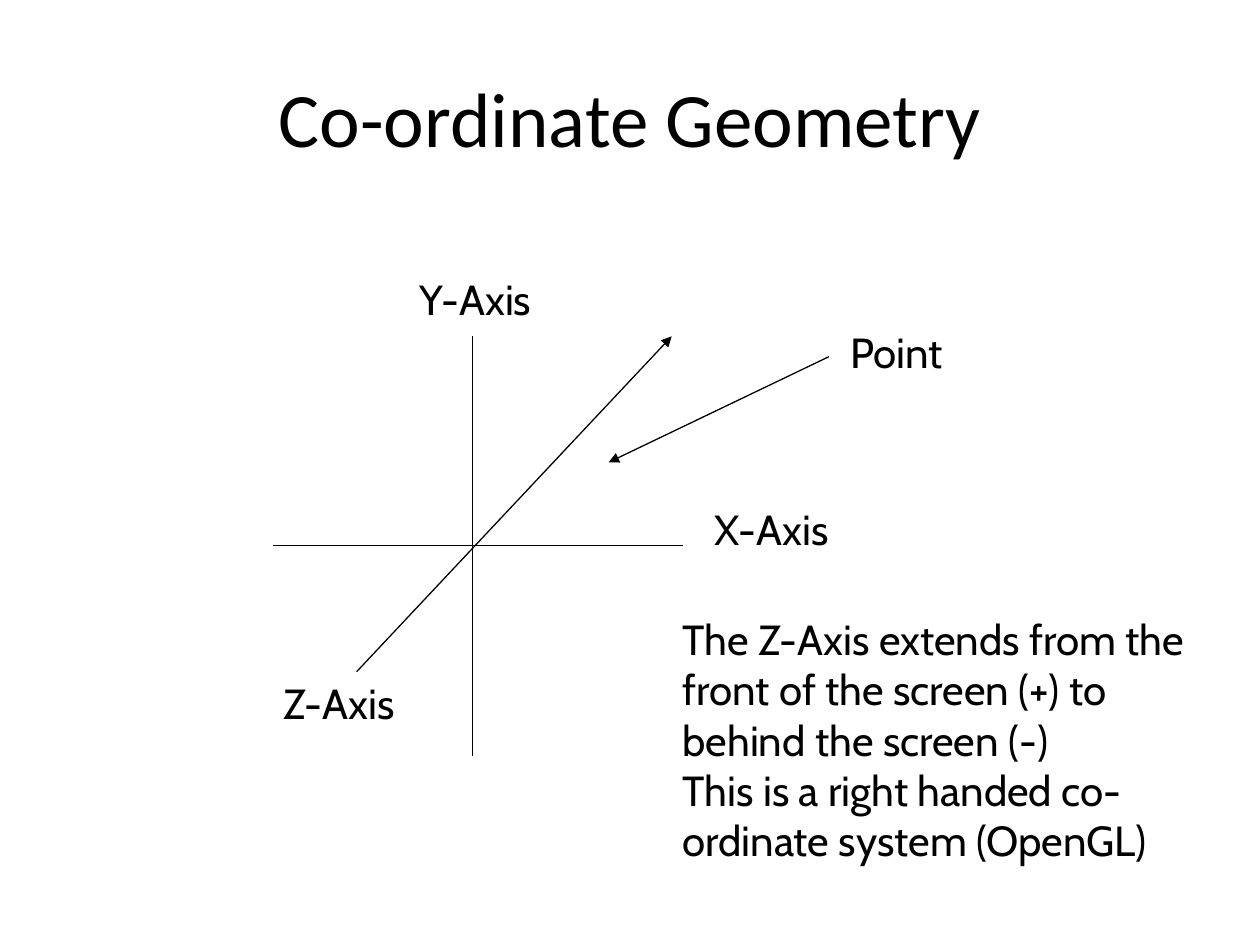
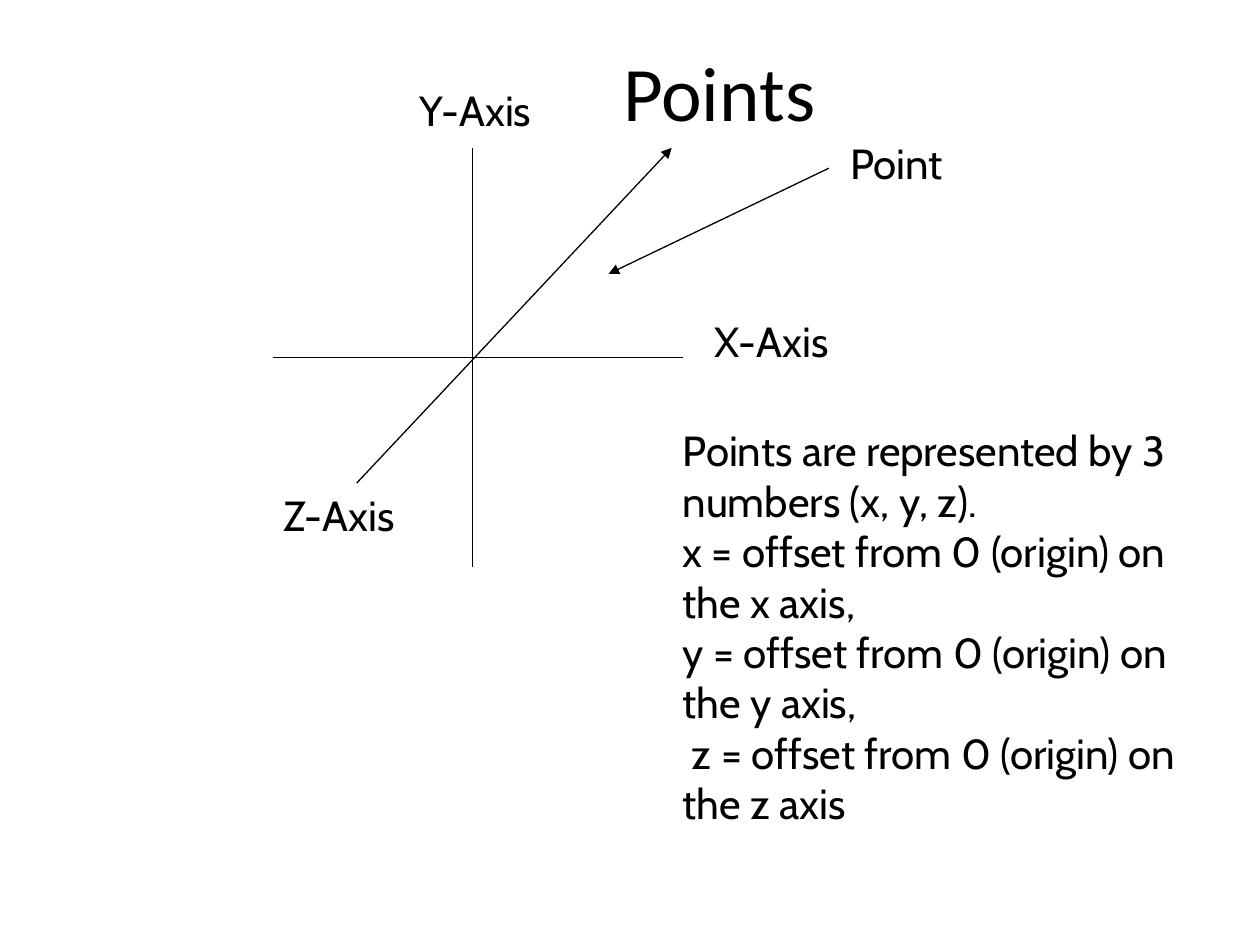
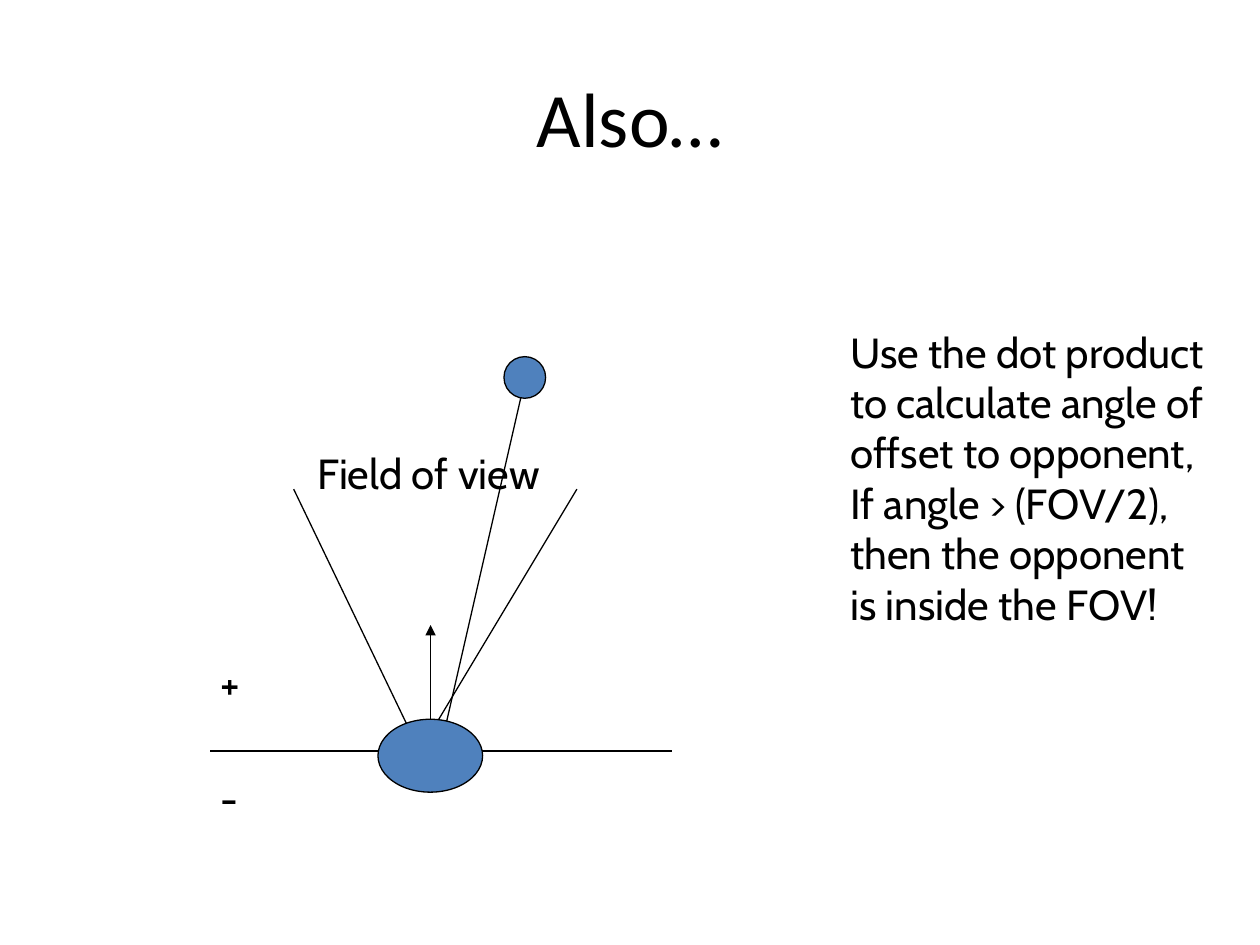
from lxml import etree
from pptx import Presentation
from pptx.dml.color import RGBColor
from pptx.enum.shapes import MSO_CONNECTOR, MSO_SHAPE
from pptx.enum.text import MSO_ANCHOR, MSO_AUTO_SIZE, PP_ALIGN
from pptx.oxml.ns import qn
from pptx.util import Cm, Pt

STRAIGHT = MSO_CONNECTOR.STRAIGHT
OVAL = MSO_SHAPE.OVAL
MIDDLE = MSO_ANCHOR.MIDDLE
CENTER = PP_ALIGN.CENTER
GROW = MSO_AUTO_SIZE.SHAPE_TO_FIT_TEXT

COLORS = {"ink": "000000", "player": "4F81BD"}
TITLE_FONT, BODY_FONT = "Calibri", "Cabin"
TITLE_BOX = (1.27, 0.76, 22.86, 3.18)
LABEL_HEIGHT = 1.27

AXIS_LINES = [
    (9.53, 6.78, 9.53, 15.24, False),
    (5.51, 11, 13.77, 11, False),
    (16.71, 7.19, 12.27, 9.32, True),
    (7.19, 13.54, 13.54, 6.78, True),
]
AXIS_LABELS = [
    ("Point", 16.89, 6.45, 2.39),
    ("X-Axis", 14.15, 10.03, 2.82),
    ("Y-Axis", 8.2, 5.38, 2.82),
    ("Z-Axis", 5.46, 13.54, 2.79),
]
AXIS_NOTE_BOX = (13.51, 12.24, 11.05)

AXIS_SLIDES = [
    {
        "title": "Co-ordinate Geometry",
        "title_box": TITLE_BOX,
        "shift": 0,
        "note": [
            "The Z-Axis extends from the front of the screen (+) to behind the screen (-)",
            "This is a right handed co-ordinate system (OpenGL)",
        ],
        "note_height": 5.38,
    },
    {
        "title": "Points",
        "title_box": (3.7, 0.23, 21.6, 3.18),
        "shift": -3.8,
        "note": [
            "Points are represented by 3 numbers (x, y, z).",
            "x = offset from 0 (origin) on the x axis,",
            "y = offset from 0 (origin) on the y axis,",
            " z = offset from 0 (origin) on the z axis",
        ],
        "note_height": 9.4,
    },
]

VIEW_TITLE = "Also…"
VIEW_NOTE = [
    "Use the dot product to calculate angle of offset to opponent,",
    "If angle > (FOV/2), then the opponent is inside the FOV!",
]
VIEW_NOTE_BOX = (16.89, 6.45, 7.67, 8.38)
VIEW_LINES = [
    (4.24, 15.14, 13.54, 15.14, False),
    (8.68, 14.5, 8.68, 12.6, True),
    (8.46, 15.14, 5.92, 9.86, False),
    (8.46, 15.14, 11.63, 9.86, False),
]
VIEW_LABELS = [
    ("+", 4.19, 13.13, 1.12),
    ("-", 4.19, 15.44, 0.81),
    ("Field of view", 6.15, 8.89, 5.21),
]
SIGHT_LINE = (8.89, 15.04, 10.59, 7.62, False)
OPPONENT = (10.16, 7.19, 0.84, 0.84)
VIEWER = (7.62, 14.5, 2.11, 1.47)


def rgb(name):
    return RGBColor.from_string(COLORS[name])


def style_text(tf, font, size):
    for p in tf.paragraphs:
        for r in p.runs:
            r.font.name = font
            r.font.size = Pt(size)
            r.font.color.rgb = rgb("ink")


def add_slide(prs, title, box):
    slide = prs.slides.add_slide(prs.slide_layouts[5])
    sp = slide.shapes.title
    sp.left, sp.top, sp.width, sp.height = map(Cm, box)
    tf = sp.text_frame
    tf.text = title
    tf.vertical_anchor = MIDDLE
    tf.paragraphs[0].alignment = CENTER
    style_text(tf, TITLE_FONT, 44)
    return slide


def add_text(slide, lines, x, y, w, h, wrap):
    tf = slide.shapes.add_textbox(Cm(x), Cm(y), Cm(w), Cm(h)).text_frame
    tf.word_wrap = wrap
    tf.auto_size = GROW
    tf.text = "\n".join(lines)
    style_text(tf, BODY_FONT, 24)


def add_labels(slide, labels, shift=0):
    for text, x, y, w in labels:
        add_text(slide, [text], x, y + shift, w, LABEL_HEIGHT, False)


def add_line(slide, x1, y1, x2, y2, arrow):
    line = slide.shapes.add_connector(STRAIGHT, Cm(x1), Cm(y1), Cm(x2), Cm(y2))
    line.line.color.rgb = rgb("ink")
    line.line.width = Pt(0.75)
    if arrow:
        etree.SubElement(line.line._get_or_add_ln(), qn("a:tailEnd"), type="triangle")
    etree.SubElement(line._element.spPr, qn("a:effectLst"))


def add_oval(slide, box):
    sp = slide.shapes.add_shape(OVAL, *map(Cm, box))
    sp.shadow.inherit = False
    sp.fill.solid()
    sp.fill.fore_color.rgb = rgb("player")
    sp.line.color.rgb = rgb("ink")
    sp.line.width = Pt(0.75)


def build_axis_slide(prs, content):
    slide = add_slide(prs, content["title"], content["title_box"])
    shift = content["shift"]
    for x1, y1, x2, y2, arrow in AXIS_LINES:
        add_line(slide, x1, y1 + shift, x2, y2 + shift, arrow)
    add_labels(slide, AXIS_LABELS, shift)
    x, y, w = AXIS_NOTE_BOX
    add_text(slide, content["note"], x, y + shift, w, content["note_height"], True)


def build_view_slide(prs):
    slide = add_slide(prs, VIEW_TITLE, TITLE_BOX)
    for line in VIEW_LINES:
        add_line(slide, *line)
    add_labels(slide, VIEW_LABELS)
    add_text(slide, VIEW_NOTE, *VIEW_NOTE_BOX, True)
    add_line(slide, *SIGHT_LINE)
    for box in (OPPONENT, VIEWER):
        add_oval(slide, box)


def main():
    prs = Presentation()
    prs.slide_width, prs.slide_height = Cm(25.4), Cm(19.05)
    for content in AXIS_SLIDES:
        build_axis_slide(prs, content)
    build_view_slide(prs)
    prs.save("out.pptx")


if __name__ == "__main__":
    main()
